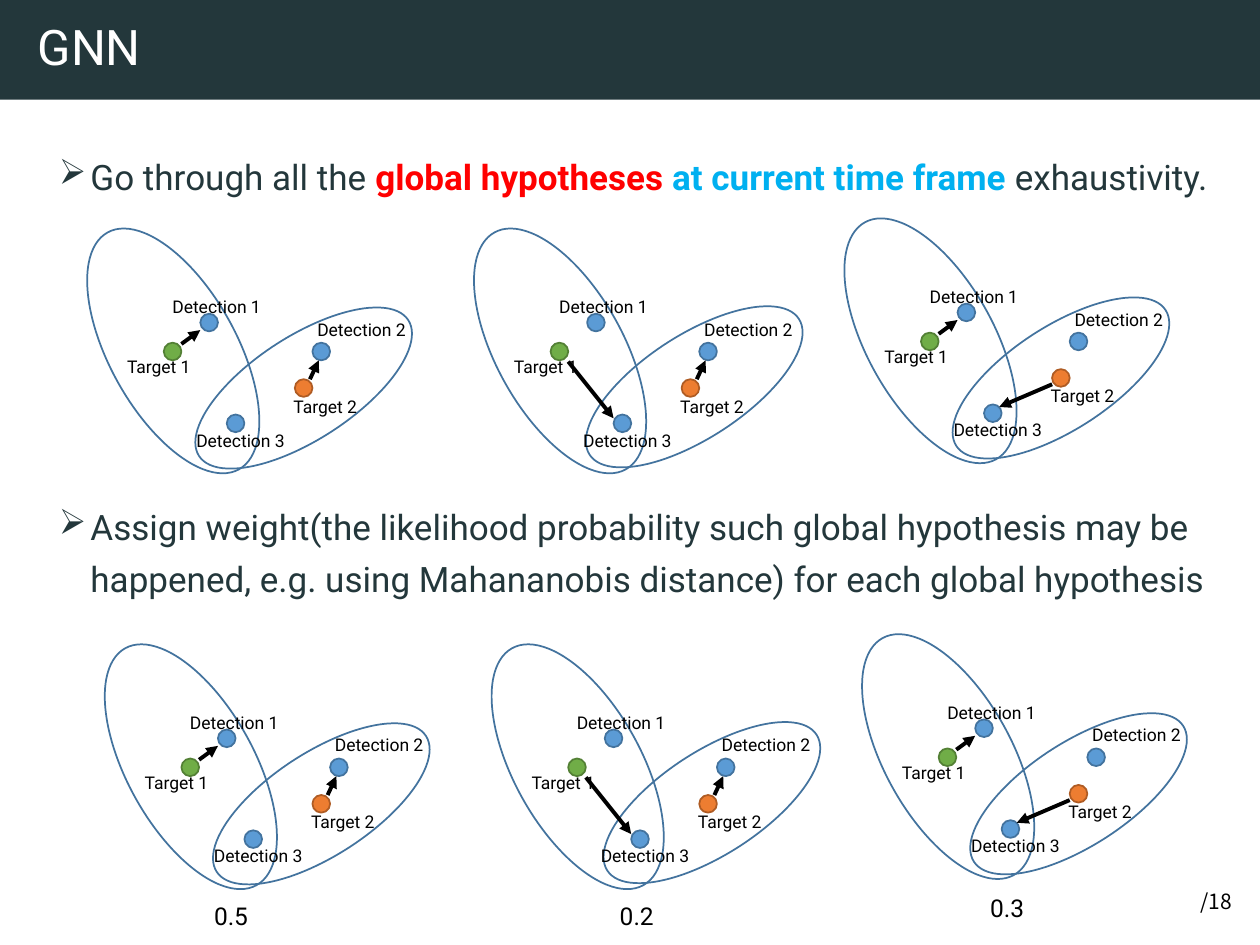
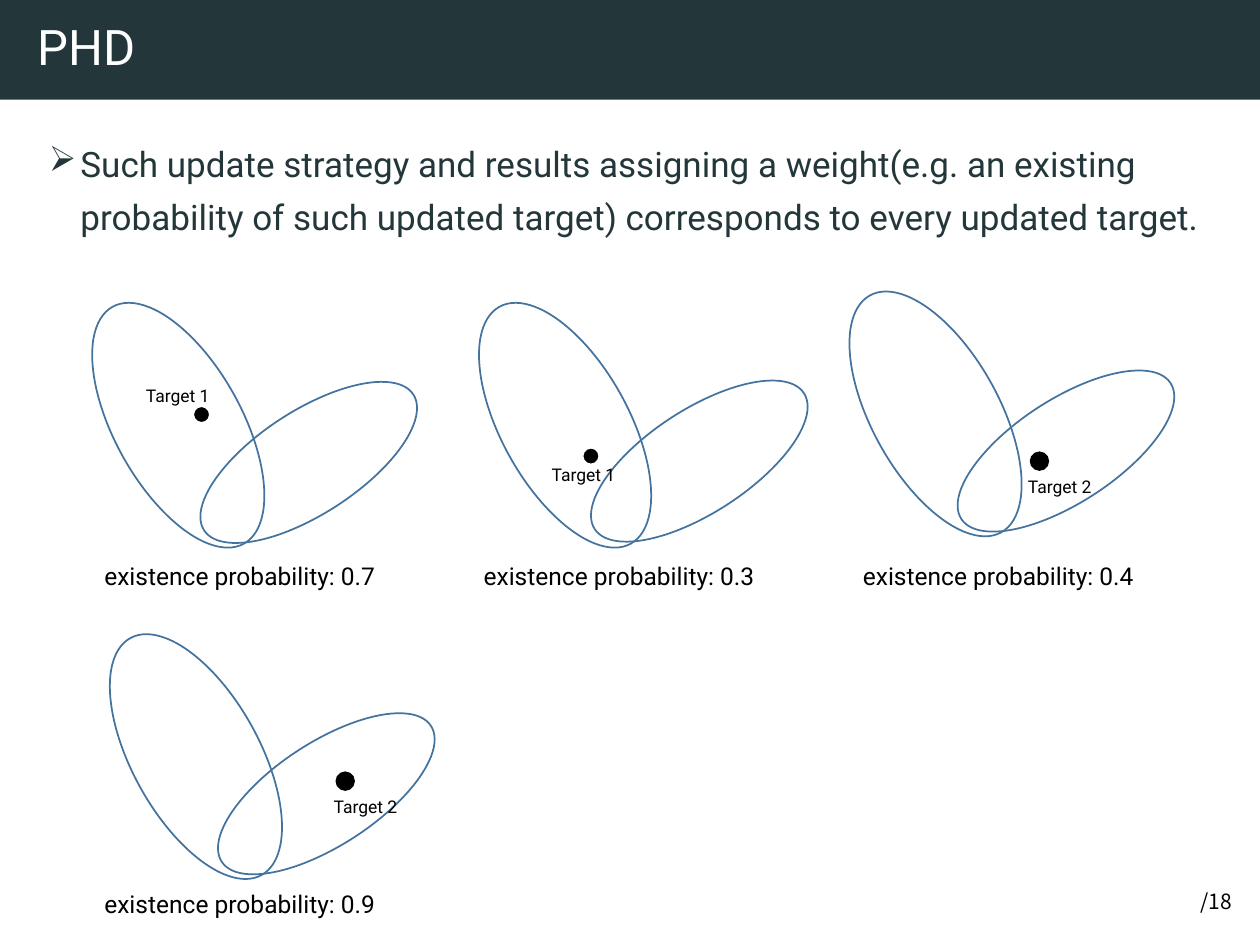
from pptx import Presentation
from pptx.dml.color import RGBColor
from pptx.enum.shapes import MSO_CONNECTOR, MSO_SHAPE
from pptx.enum.text import MSO_ANCHOR, PP_ALIGN
from pptx.oxml.ns import qn
from pptx.util import Inches, Pt
from lxml import etree

DARK = RGBColor(0x23, 0x37, 0x3B)
WHITE = RGBColor(0xFF, 0xFF, 0xFF)
BLACK = RGBColor(0x00, 0x00, 0x00)
RED = RGBColor(0xFF, 0x00, 0x00)
CYAN = RGBColor(0x00, 0xB0, 0xF0)
BLUE = RGBColor(0x5B, 0x9B, 0xD5)
BLUE_LINE = RGBColor(0x43, 0x73, 0x9E)
GREEN = RGBColor(0x70, 0xAD, 0x47)
GREEN_LINE = RGBColor(0x53, 0x80, 0x35)
ORANGE = RGBColor(0xED, 0x7D, 0x31)
ORANGE_LINE = RGBColor(0xAF, 0x5C, 0x24)

FONT = "Roboto"
FOOTER_FONT = "Noto Sans CJK SC"
DOT = 0.14


def add_text(slide, left, top, width, height, text, size, font=FONT):
    box = slide.shapes.add_textbox(Inches(left), Inches(top), Inches(width), Inches(height))
    box.text_frame.word_wrap = True
    run = box.text_frame.paragraphs[0].add_run()
    run.text = text
    run.font.size = Pt(size)
    run.font.name = font
    run.font.color.rgb = BLACK
    return box


def add_ellipse(slide, left, top, width, height, fill, line, weight=1, rotation=0):
    shape = slide.shapes.add_shape(
        MSO_SHAPE.OVAL, Inches(left), Inches(top), Inches(width), Inches(height))
    shape.shadow.inherit = False
    shape.rotation = rotation
    if fill is None:
        shape.fill.background()
    else:
        shape.fill.solid()
        shape.fill.fore_color.rgb = fill
    shape.line.color.rgb = line
    shape.line.width = Pt(weight)


presentation = Presentation()
presentation.slide_width = Inches(10)
presentation.slide_height = Inches(7.5)

# Shared title band and page footer
slides = []
for title in ("GNN", "PHD"):
    slide = presentation.slides.add_slide(presentation.slide_layouts[6])
    slides.append(slide)
    band = slide.shapes.add_shape(MSO_SHAPE.RECTANGLE, 0, 0, Inches(10), Inches(0.79))
    band.shadow.inherit = False
    band.fill.solid()
    band.fill.fore_color.rgb = DARK
    band.line.fill.background()
    frame = band.text_frame
    frame.margin_left = Inches(0.3)
    frame.vertical_anchor = MSO_ANCHOR.MIDDLE
    paragraph = frame.paragraphs[0]
    paragraph.alignment = PP_ALIGN.LEFT
    paragraph.line_spacing = 0.9
    run = paragraph.add_run()
    run.text = title
    run.font.size = Pt(28)
    run.font.name = FONT
    run.font.color.rgb = WHITE
    footer = add_text(slide, 9.43, 7, 0.45, 0.3, "/18", 12, FOOTER_FONT)
    footer.text_frame.word_wrap = False
    footer.text_frame.vertical_anchor = MSO_ANCHOR.MIDDLE
gnn, phd = slides

# Bulleted body text: paragraphs of (space before, runs of (text, colour, bold))
bodies = [
    (gnn, 0.37, 1.1, 9.36, [
        (10, [("Go through all the ", DARK, False),
              ("global hypotheses ", RED, True),
              ("at current time frame", CYAN, True),
              (" exhaustivity.", DARK, False)]),
        (170, [("Assign weight(the likelihood probability such global hypothesis may be "
                "happened, e.g. using Mahananobis distance) for each global hypothesis",
                DARK, False)]),
    ]),
    (phd, 0.29, 1.0, 9.43, [
        (10, [("Such update strategy and results assigning a weight(e.g. an existing "
               "probability of such updated target) corresponds to every updated target.",
               DARK, False)]),
    ]),
]
for slide, left, top, width, paragraphs in bodies:
    box = slide.shapes.add_textbox(Inches(left), Inches(top), Inches(width), Inches(5.74))
    frame = box.text_frame
    frame.word_wrap = True
    for index, (space_before, runs) in enumerate(paragraphs):
        paragraph = frame.add_paragraph() if index else frame.paragraphs[0]
        paragraph.line_spacing = 1.25
        paragraph.space_before = Pt(space_before)
        properties = paragraph._p.get_or_add_pPr()
        properties.set("marL", str(Inches(0.25)))
        properties.set("indent", str(Inches(-0.25)))
        etree.SubElement(properties, qn("a:buChar")).set("char", "\u27a2")
        for text, color, bold in runs:
            run = paragraph.add_run()
            run.text = text
            run.font.size = Pt(20)
            run.font.name = FONT
            run.font.bold = bold
            run.font.color.rgb = color

# Diagram origins: the corner of the first gate, with the second gate's offset
GATE_OFFSETS = [(1.13, 0.38), (1.16, 0.37), (1.13, 0.38)]
GNN_COLUMNS = [(0.87, 1.71), (3.94, 1.71), (6.88, 1.63)]
PHD_ORIGINS = [(0.91, 2.3), (3.98, 2.3), (6.92, 2.21), (1.05, 4.93)]
gnn_origins = GNN_COLUMNS + [(x + 0.14, y + 3.3) for x, y in GNN_COLUMNS]

# Overlapping gates on both slides
for slide, origins in ((gnn, gnn_origins), (phd, PHD_ORIGINS)):
    for index, (x, y) in enumerate(origins):
        offset_x, offset_y = GATE_OFFSETS[index % 3]
        add_ellipse(slide, x, y, 1.01, 2.15, None, BLUE_LINE, rotation=331)
        add_ellipse(slide, x + offset_x, y + offset_y, 0.82, 1.98, None, BLUE_LINE, rotation=57)

# GNN: dot offset, label offset, label width, colours
POINTS = [
    ("Detection 1", 0.72, 0.78, 0.40, 0.59, 0.96, BLUE, BLUE_LINE),
    ("Detection 2", 1.61, 1.01, 1.55, 0.77, 0.96, BLUE, BLUE_LINE),
    ("Detection 3", 0.93, 1.58, 0.59, 1.65, 0.96, BLUE, BLUE_LINE),
    ("Target 1", 0.43, 1.01, 0.04, 1.07, 0.82, GREEN, GREEN_LINE),
    ("Target 2", 1.47, 1.30, 1.36, 1.38, 0.89, ORANGE, ORANGE_LINE),
]
TARGET_1_TO_1 = (0.57, 1.02, 0.72, 0.91)
TARGET_1_TO_3 = (0.57, 1.16, 0.93, 1.61)
TARGET_2_TO_2 = (1.59, 1.30, 1.66, 1.15)
TARGET_2_TO_3 = (1.47, 1.42, 1.05, 1.60)
HYPOTHESES = [
    (TARGET_1_TO_1, TARGET_2_TO_2),
    (TARGET_1_TO_3, TARGET_2_TO_2),
    (TARGET_1_TO_1, TARGET_2_TO_3),
]
for index, (x, y) in enumerate(gnn_origins):
    for label, dot_x, dot_y, label_x, label_y, label_width, fill, line in POINTS:
        add_ellipse(gnn, x + dot_x, y + dot_y, DOT, DOT, fill, line)
        add_text(gnn, x + label_x, y + label_y, label_width, 0.27, label, 10)
    for start_x, start_y, end_x, end_y in HYPOTHESES[index % 3]:
        arrow = gnn.shapes.add_connector(
            MSO_CONNECTOR.STRAIGHT, Inches(x + start_x), Inches(y + start_y),
            Inches(x + end_x), Inches(y + end_y))
        arrow.line.color.rgb = BLACK
        arrow.line.width = Pt(2.25)
        etree.SubElement(arrow.line._get_or_add_ln(), qn("a:tailEnd")).set("type", "triangle")
        etree.SubElement(arrow._element.spPr, qn("a:effectLst"))

# GNN: hypothesis weights
for left, top, weight in ((1.6, 7.1, "0.5"), (4.82, 7.1, "0.2"), (7.76, 7.04, "0.3")):
    add_text(gnn, left, top, 0.48, 0.34, weight, 14)

# PHD: updated targets
updated_targets = [
    ("Target 1", 1.53, 3.22, 1.06, 3.01, WHITE, 1.5),
    ("Target 1", 4.62, 3.55, 4.28, 3.63, WHITE, 1.5),
    ("Target 2", 8.18, 3.59, 8.06, 3.73, BLACK, 1),
    ("Target 2", 2.67, 6.13, 2.55, 6.27, BLACK, 1),
]
for label, dot_x, dot_y, label_x, label_y, line, weight in updated_targets:
    add_ellipse(phd, dot_x, dot_y, DOT, DOT, BLACK, line, weight)
    add_text(phd, label_x, label_y, 0.85, 0.27, label, 10)

# PHD: existence probabilities, three to a row
for index, probability in enumerate(("0.7", "0.3", "0.4", "0.9")):
    row, column = divmod(index, 3)
    add_text(phd, 0.73 + 3.01 * column, 4.4 + 2.61 * row, 2.53, 0.34,
             f"existence probability: {probability}", 14)

presentation.save("out.pptx")
